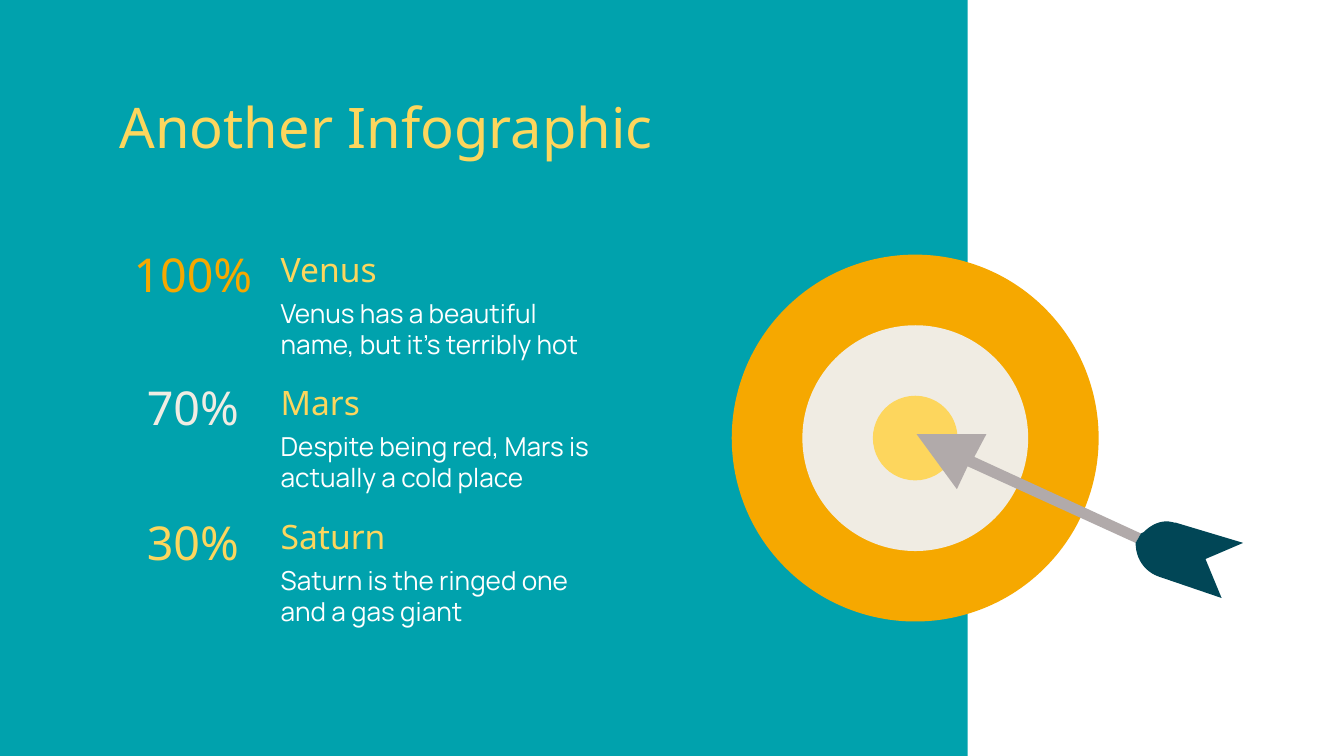
from pptx import Presentation
from pptx.dml.color import RGBColor
from pptx.enum.shapes import MSO_SHAPE
from pptx.enum.text import MSO_ANCHOR, PP_ALIGN
from pptx.util import Inches, Pt

THEME = {
    "teal": "00A2AD", "orange": "F6A800", "cream": "F0ECE3", "yellow": "FDD65D",
    "gray": "B1AAAA", "navy": "014656", "white": "FFFFFF",
    "display": "Noto Sans", "body": "Manrope",
    "title_size": 30, "percent_size": 25, "name_size": 18, "detail_size": 14,
}

TITLE = "Another Infographic"
PLANETS = [
    ("100%", "orange", "Venus", "Venus has a beautiful name, but it’s terribly hot"),
    ("70%", "cream", "Mars", "Despite being red, Mars is actually a cold place"),
    ("30%", "yellow", "Saturn", "Saturn is the ringed one and a gas giant"),
]
SLIDE_WIDTH = Inches(10)
SLIDE_HEIGHT = SLIDE_WIDTH * 9 // 16
ROW_TOPS = (1.75, 2.74, 3.74)
LEFT, PLANET_LEFT = 0.79, 1.99

TARGET_CENTER = (6.81, 3.26)
RINGS = [(2.73, "orange"), (1.68, "cream"), (0.63, "yellow")]

ARROW = [(7.34, 3.23), (7.25, 3.4), (8.49, 3.97), (8.45, 4.04),
         (7.2, 3.47), (7.12, 3.64), (6.82, 3.23)]
# Two points make a line, four make a cubic curve.
FLETCHING = [
    [(8.68, 3.88), (8.71, 3.88), (8.73, 3.89), (8.75, 3.89)],
    [(8.75, 3.89), (9.25, 4.04)],
    [(9.25, 4.04), (8.97, 4.16)],
    [(8.97, 4.16), (9.09, 4.45)],
    [(9.09, 4.45), (8.62, 4.29)],
    [(8.62, 4.29), (8.51, 4.25), (8.45, 4.15), (8.45, 4.04)],
    [(8.45, 4.04), (8.49, 3.97)],
    [(8.49, 3.97), (8.51, 3.96)],
    [(8.51, 3.96), (8.56, 3.91), (8.62, 3.88), (8.68, 3.88)],
]


def color(name):
    return RGBColor.from_string(THEME[name])


def paint(shape, fill):
    shape.shadow.inherit = False
    shape.fill.solid()
    shape.fill.fore_color.rgb = color(fill)
    shape.line.fill.background()


def add_filled(slide, kind, left, top, width, height, fill):
    shape = slide.shapes.add_shape(
        kind, Inches(left), Inches(top), Inches(width), Inches(height))
    paint(shape, fill)


def add_outline(slide, points, fill):
    corners = [(Inches(x), Inches(y)) for x, y in points]
    builder = slide.shapes.build_freeform(*corners[0])
    builder.add_line_segments(corners[1:], close=True)
    paint(builder.convert_to_shape(), fill)


def trace(segments, steps=12):
    """Return the points along a chain of lines and cubic curves."""
    points = [segments[0][0]]
    for segment in segments:
        if len(segment) == 2:
            points.append(segment[1])
            continue
        for step in range(1, steps + 1):
            t = step / steps
            weights = ((1 - t) ** 3, 3 * t * (1 - t) ** 2, 3 * t * t * (1 - t), t ** 3)
            points.append(tuple(
                sum(w * point[axis] for w, point in zip(weights, segment))
                for axis in (0, 1)))
    return points


def add_text(slide, text, box, role, ink, font="display", centered=False):
    frame = slide.shapes.add_textbox(*map(Inches, box)).text_frame
    frame.word_wrap = True
    frame.margin_left = frame.margin_right = Inches(0 if centered else 0.1)
    frame.margin_top = frame.margin_bottom = Inches(0.1)
    frame.vertical_anchor = MSO_ANCHOR.MIDDLE if centered else MSO_ANCHOR.TOP
    frame.text = text
    paragraph = frame.paragraphs[0]
    paragraph.alignment = PP_ALIGN.CENTER if centered else PP_ALIGN.LEFT
    run_font = paragraph.runs[0].font
    run_font.name = THEME[font]
    run_font.size = Pt(THEME[role + "_size"])
    run_font.color.rgb = color(ink)


def main():
    deck = Presentation()
    deck.slide_width, deck.slide_height = SLIDE_WIDTH, SLIDE_HEIGHT
    slide = deck.slides.add_slide(deck.slide_layouts[6])

    add_filled(slide, MSO_SHAPE.RECTANGLE, -0.05, -0.03, 7.25, 5.69, "teal")
    center_x, center_y = TARGET_CENTER
    for size, fill in RINGS:
        add_filled(slide, MSO_SHAPE.OVAL, center_x - size / 2, center_y - size / 2,
                   size, size, fill)
    add_outline(slide, ARROW, "gray")
    add_outline(slide, trace(FLETCHING), "navy")

    add_text(slide, TITLE, (LEFT, 0.59, 5.75, 0.72), "title", "yellow")
    for top, (percent, ink, name, detail) in zip(ROW_TOPS, PLANETS):
        add_text(slide, percent, (LEFT, top + 0.05, 1.29, 0.48), "percent", ink,
                 centered=True)
        add_text(slide, name, (PLANET_LEFT, top, 1.97, 0.48), "name", "yellow")
        add_text(slide, detail, (PLANET_LEFT, top + 0.36, 2.52, 0.63), "detail",
                 "white", font="body")

    deck.save("out.pptx")


if __name__ == "__main__":
    main()
